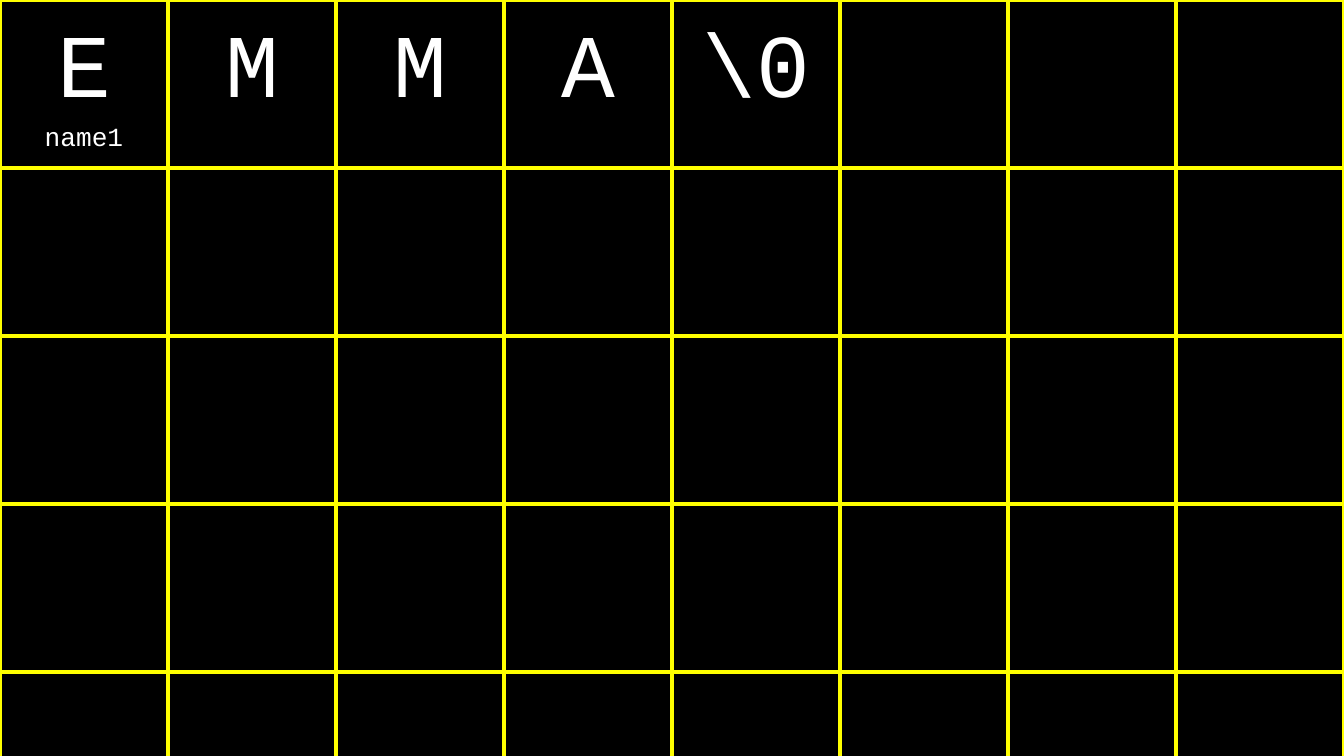
from pptx import Presentation
from pptx import util as u
from pptx.dml.color import RGBColor
from pptx.enum import text
from pptx.oxml import parse_xml
from pptx.oxml.ns import nsdecls

PX = 9525  # EMU per px, 96 px to the inch
COLORS = {"background": "000000", "grid": "FFFF00", "text": "FFFFFF"}
FONT = "Courier New"
ROWS, COLS, CELL = 5, 8, 120
INSET, LABEL_H = 10, 21
BYTES = ["E", "M", "M", "A", "\\0"]
LABELS = {0: "name1"}


def px(n):
    return u.Emu(n * PX)


def rgb(name):
    return RGBColor.from_string(COLORS[name])


def add_borders(cell):
    tcPr = cell._tc.get_or_add_tcPr()
    for side in "LRTB":
        tcPr.append(parse_xml(
            f'<a:ln{side} {nsdecls("a")} w="{u.Pt(3)}"><a:solidFill>'
            f'<a:srgbClr val="{COLORS["grid"]}"/></a:solidFill></a:ln{side}>'))


def add_memory_grid(s):
    side = px(CELL)
    frame = s.shapes.add_table(ROWS, COLS, 0, 0, side * COLS, side * ROWS)
    table = frame.table
    table.first_row = table.horz_banding = False
    for line in table.columns:
        line.width = side
    for line in table.rows:
        line.height = side
    for cell in table.iter_cells():
        add_borders(cell)
        cell.fill.background()
    return table


def style_paragraph(p, size):
    p.alignment = text.PP_ALIGN.CENTER
    for r in p.runs:
        r.font.name = FONT
        r.font.size = u.Pt(size)
        r.font.color.rgb = rgb("text")


def fill_byte(cell, char, label=None):
    cell.vertical_anchor = text.MSO_ANCHOR.BOTTOM
    cell.margin_left = cell.margin_right = cell.margin_top = px(INSET)
    # Unlabelled bytes keep the label's height free, so all characters align
    cell.margin_bottom = px(INSET if label else INSET + LABEL_H)
    tf = cell.text_frame
    tf.text = char
    style_paragraph(tf.paragraphs[0], 48)
    if label:
        p = tf.add_paragraph()
        p.text = label
        style_paragraph(p, 14)


def main():
    prs = Presentation()
    prs.slide_width, prs.slide_height = px(960), px(540)
    s = prs.slides.add_slide(prs.slide_layouts[6])
    s.background.fill.solid()
    s.background.fill.fore_color.rgb = rgb("background")

    # Memory cells, with the string in the first row
    table = add_memory_grid(s)
    for i, char in enumerate(BYTES):
        fill_byte(table.cell(0, i), char, LABELS.get(i))

    prs.save("out.pptx")


if __name__ == "__main__":
    main()
